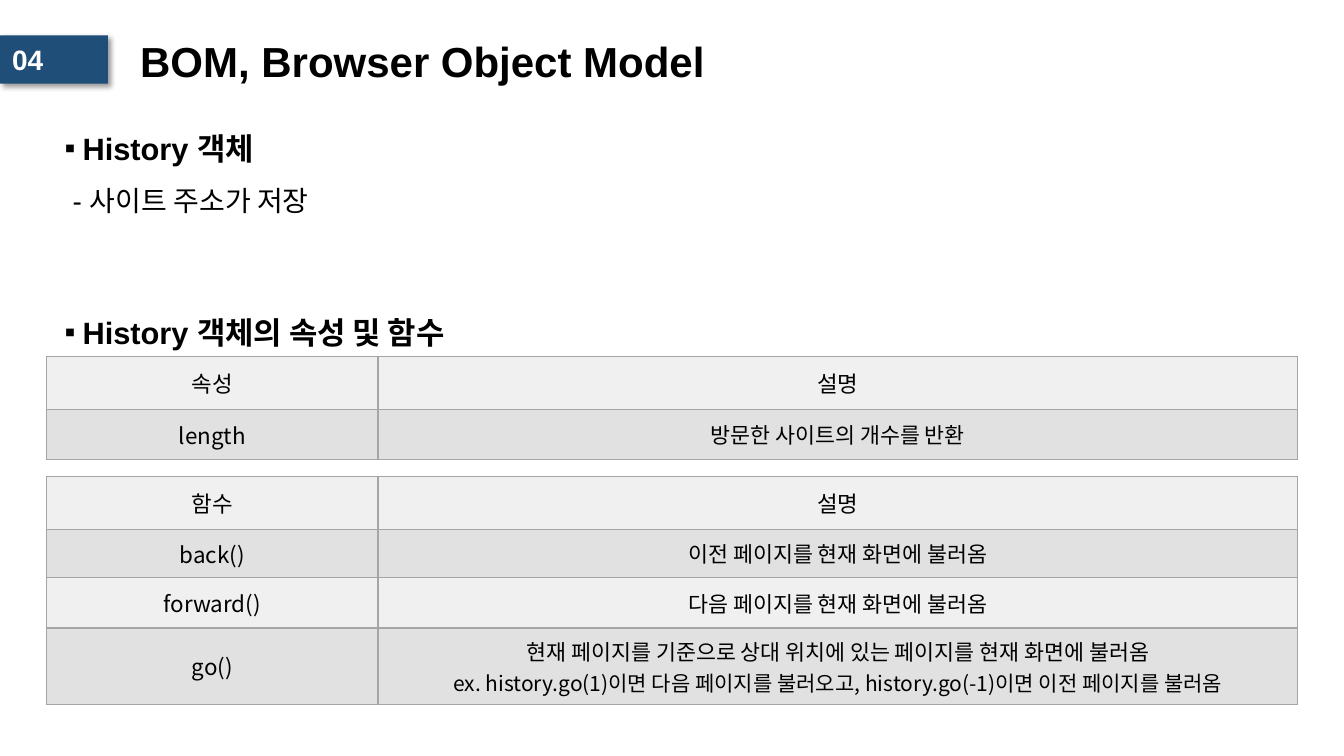
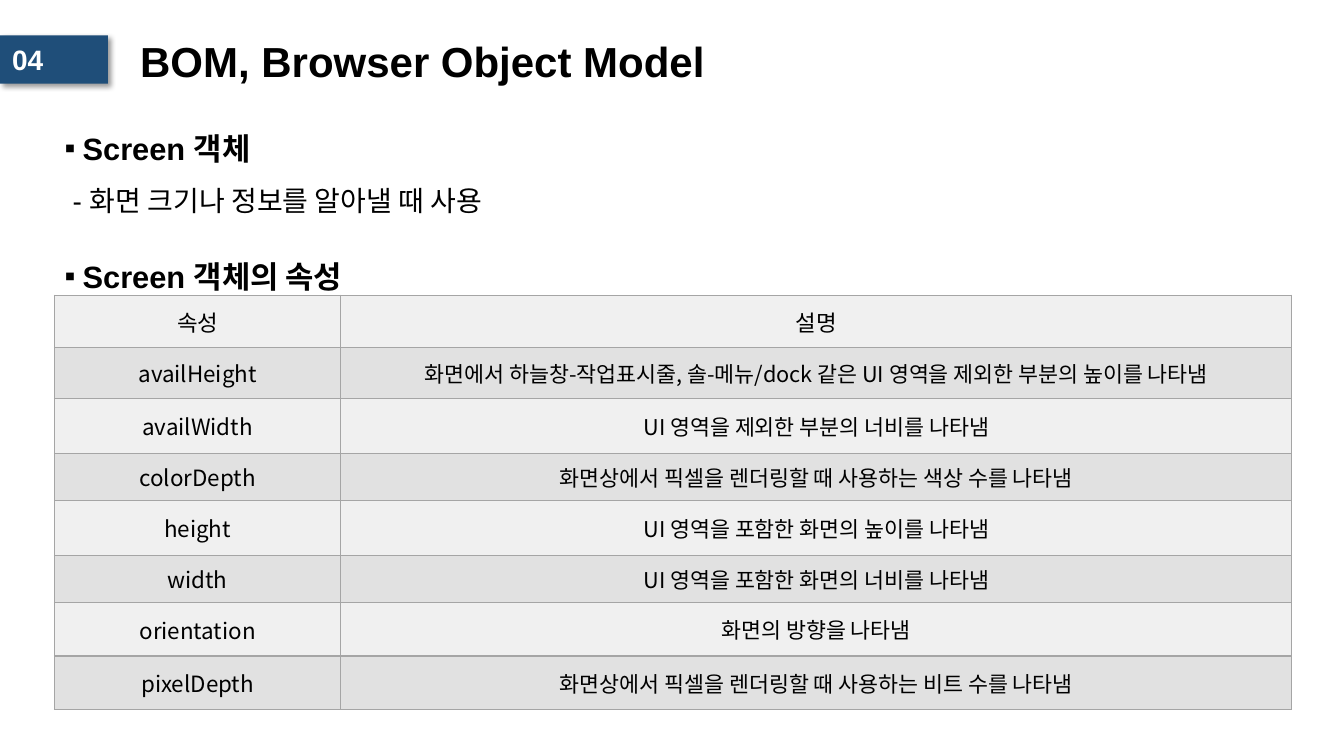
from dataclasses import dataclass

from lxml.etree import SubElement
from pptx import Presentation
from pptx.dml.color import RGBColor
from pptx.enum.shapes import MSO_SHAPE
from pptx.enum.text import MSO_ANCHOR, MSO_AUTO_SIZE, PP_ALIGN
from pptx.oxml.ns import qn
from pptx.util import Inches, Pt

COLORS = {
    "text": "000000",
    "white": "FFFFFF",
    "badge": "1F4E79",
    "border": "A5A5A5",
    "light_row": "F0F0F0",
    "dark_row": "E1E1E1",
}
LATIN, KOREAN = "Arial", "Noto Sans CJK KR"
TITLE, CHAPTER = "BOM, Browser Object Model", "04"
TEXT_LEFT, TEXT_WIDTH = 0.54, 12.14
DETAIL_SIZES = (15.5, 15)


@dataclass
class TableSpec:
    left: float
    top: float
    cols: tuple[float, ...]
    heights: tuple[float, ...]
    rows: list[tuple[str, str]]


@dataclass
class SlideSpec:
    heading: str
    summary: str
    subheading: str
    subheading_top: float
    tables: list[TableSpec]


SLIDES = [
    SlideSpec("History 객체", "- 사이트 주소가 저장", "History 객체의 속성 및 함수", 2.88, [
        TableSpec(0.46, 3.54, (3.29, 9.12), (0.52, 0.5), [
            ("속성", "설명"),
            ("length", "방문한 사이트의 개수를 반환"),
        ]),
        TableSpec(0.46, 4.73, (3.29, 9.12), (0.52, 0.48, 0.5, 0.76), [
            ("함수", "설명"),
            ("back()", "이전 페이지를 현재 화면에 불러옴"),
            ("forward()", "다음 페이지를 현재 화면에 불러옴"),
            ("go()", "현재 페이지를 기준으로 상대 위치에 있는 페이지를 현재 화면에 불러옴\n"
                     "ex. history.go(1)이면 다음 페이지를 불러오고, "
                     "history.go(-1)이면 이전 페이지를 불러옴"),
        ]),
    ]),
    SlideSpec("Screen 객체", "- 화면 크기나 정보를 알아낼 때 사용", "Screen 객체의 속성", 2.32, [
        TableSpec(0.54, 2.93, (2.84, 9.43),
                  (0.52, 0.5, 0.55, 0.47, 0.54, 0.47, 0.53, 0.53), [
            ("속성", "설명"),
            ("availHeight", "화면에서 하늘창-작업표시줄, 솔-메뉴/dock 같은 UI 영역을 "
                            "제외한 부분의 높이를 나타냄"),
            ("availWidth", "UI 영역을 제외한 부분의 너비를 나타냄"),
            ("colorDepth", "화면상에서 픽셀을 렌더링할 때 사용하는 색상 수를 나타냄"),
            ("height", "UI 영역을 포함한 화면의 높이를 나타냄"),
            ("width", "UI 영역을 포함한 화면의 너비를 나타냄"),
            ("orientation", "화면의 방향을 나타냄"),
            ("pixelDepth", "화면상에서 픽셀을 렌더링할 때 사용하는 비트 수를 나타냄"),
        ]),
    ]),
]


def rgb(name: str) -> RGBColor:
    return RGBColor.from_string(COLORS[name])


def add_text(p, text: str, *, size: float, font: str = LATIN,
             color: str = "text", bold: bool = False) -> None:
    r = p.add_run()
    r.text = text
    r.font.size, r.font.name, r.font.bold = Pt(size), font, bold
    r.font.color.rgb = rgb(color)
    SubElement(r.font._element, qn("a:ea"), typeface=KOREAN)


def place(sp, left: float, top: float, width: float, height: float) -> None:
    sp.left, sp.top = Inches(left), Inches(top)
    sp.width, sp.height = Inches(width), Inches(height)


def format_list_item(p, *, indent: float, hanging: float = 0, bullet: str = "") -> None:
    p.line_spacing = 1.5
    p.space_before = Pt(0)
    pPr = p._p.get_or_add_pPr()
    pPr.set("marL", str(Inches(indent)))
    pPr.set("indent", str(-Inches(hanging)))
    if bullet:
        SubElement(pPr, qn("a:buFont"), typeface=LATIN)
        SubElement(pPr, qn("a:buChar"), char=bullet)
    else:
        SubElement(pPr, qn("a:buNone"))


def fill_body(sp, top: float, height: float, heading: str, summary: str = "") -> None:
    place(sp, TEXT_LEFT, top, TEXT_WIDTH, height)
    tf = sp.text_frame
    tf.auto_size = MSO_AUTO_SIZE.NONE
    p = tf.paragraphs[0]
    format_list_item(p, indent=0.18, hanging=0.18, bullet="▪")
    add_text(p, heading, size=22, bold=True)
    if summary:
        p = tf.add_paragraph()
        format_list_item(p, indent=0.08)
        add_text(p, summary, size=20)


def add_title(slide) -> None:
    sp = slide.shapes.title
    place(sp, 1.29, 0.29, 9.02, 0.69)
    tf = sp.text_frame
    tf.auto_size = MSO_AUTO_SIZE.NONE
    tf.vertical_anchor = MSO_ANCHOR.MIDDLE
    p = tf.paragraphs[0]
    p.alignment, p.line_spacing = PP_ALIGN.LEFT, 0.9
    add_text(p, TITLE, size=30, bold=True)


def add_badge(slide) -> None:
    sp = slide.shapes.add_shape(MSO_SHAPE.RECTANGLE, 0, Inches(0.35),
                                Inches(1.07), Inches(0.48))
    sp.fill.solid()
    sp.fill.fore_color.rgb = rgb("badge")
    sp.line.fill.background()
    sp.shadow.inherit = False
    effects = sp._element.spPr.find(qn("a:effectLst"))
    shadow = SubElement(effects, qn("a:outerShdw"), blurRad=str(Pt(4)), dist=str(Pt(3)),
                        dir=str(45 * 60000), algn="tl", rotWithShape="0")
    color = SubElement(shadow, qn("a:srgbClr"), val=COLORS["text"])
    SubElement(color, qn("a:alpha"), val="40000")
    tf = sp.text_frame
    tf.margin_left = Inches(0.12)
    tf.vertical_anchor = MSO_ANCHOR.MIDDLE
    p = tf.paragraphs[0]
    p.alignment = PP_ALIGN.LEFT
    add_text(p, CHAPTER, size=20, color="white", bold=True)


def add_borders(cell) -> None:
    tcPr = cell._tc.get_or_add_tcPr()
    for side in ("lnL", "lnR", "lnT", "lnB"):
        ln = SubElement(tcPr, qn(f"a:{side}"), w=str(Pt(1)))
        fill = SubElement(ln, qn("a:solidFill"))
        SubElement(fill, qn("a:srgbClr"), val=COLORS["border"])


def fill_cell(cell, text: str, sizes: tuple[float, ...], fill: str) -> None:
    """Write one line of text for each size, on a bordered, filled cell."""
    add_borders(cell)
    cell.fill.solid()
    cell.fill.fore_color.rgb = rgb(fill)
    cell.vertical_anchor = MSO_ANCHOR.MIDDLE
    p = cell.text_frame.paragraphs[0]
    p.alignment = PP_ALIGN.CENTER
    for i, (line, size) in enumerate(zip(text.split("\n"), sizes)):
        if i:
            p.add_line_break()
        add_text(p, line, size=size, font=KOREAN)


def add_table(slide, spec: TableSpec) -> None:
    table = slide.shapes.add_table(
        len(spec.rows), len(spec.cols), Inches(spec.left), Inches(spec.top),
        Inches(sum(spec.cols)), Inches(sum(spec.heights))).table
    table.first_row = table.horz_banding = False
    for column, width in zip(table.columns, spec.cols):
        column.width = Inches(width)
    for i, (height, texts) in enumerate(zip(spec.heights, spec.rows)):
        table.rows[i].height = Inches(height)
        fill = "dark_row" if i % 2 else "light_row"
        for j, text in enumerate(texts):
            sizes = DETAIL_SIZES if i and j else (16,)
            fill_cell(table.cell(i, j), text, sizes, fill)


def add_slide(prs, spec: SlideSpec) -> None:
    slide = prs.slides.add_slide(prs.slide_layouts.get_by_name("Two Content"))
    add_title(slide)
    add_badge(slide)
    fill_body(slide.placeholders[1], 1.05, 1.12, spec.heading, spec.summary)
    fill_body(slide.placeholders[2], spec.subheading_top, 0.61, spec.subheading)
    for table in spec.tables:
        add_table(slide, table)


def main() -> None:
    prs = Presentation()
    prs.slide_width, prs.slide_height = Inches(13.33), Inches(7.5)
    for spec in SLIDES:
        add_slide(prs, spec)
    prs.save("out.pptx")


if __name__ == "__main__":
    main()
